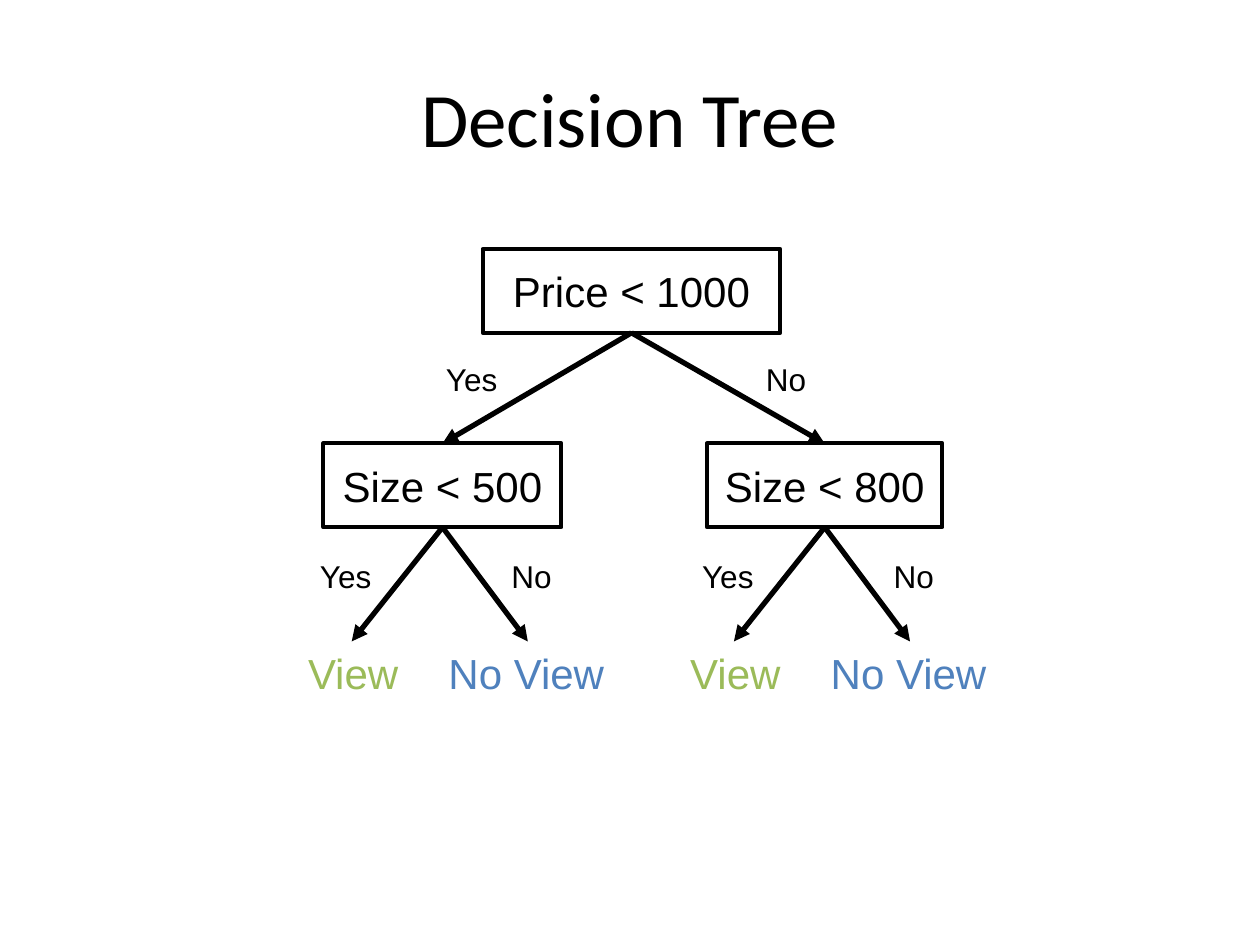
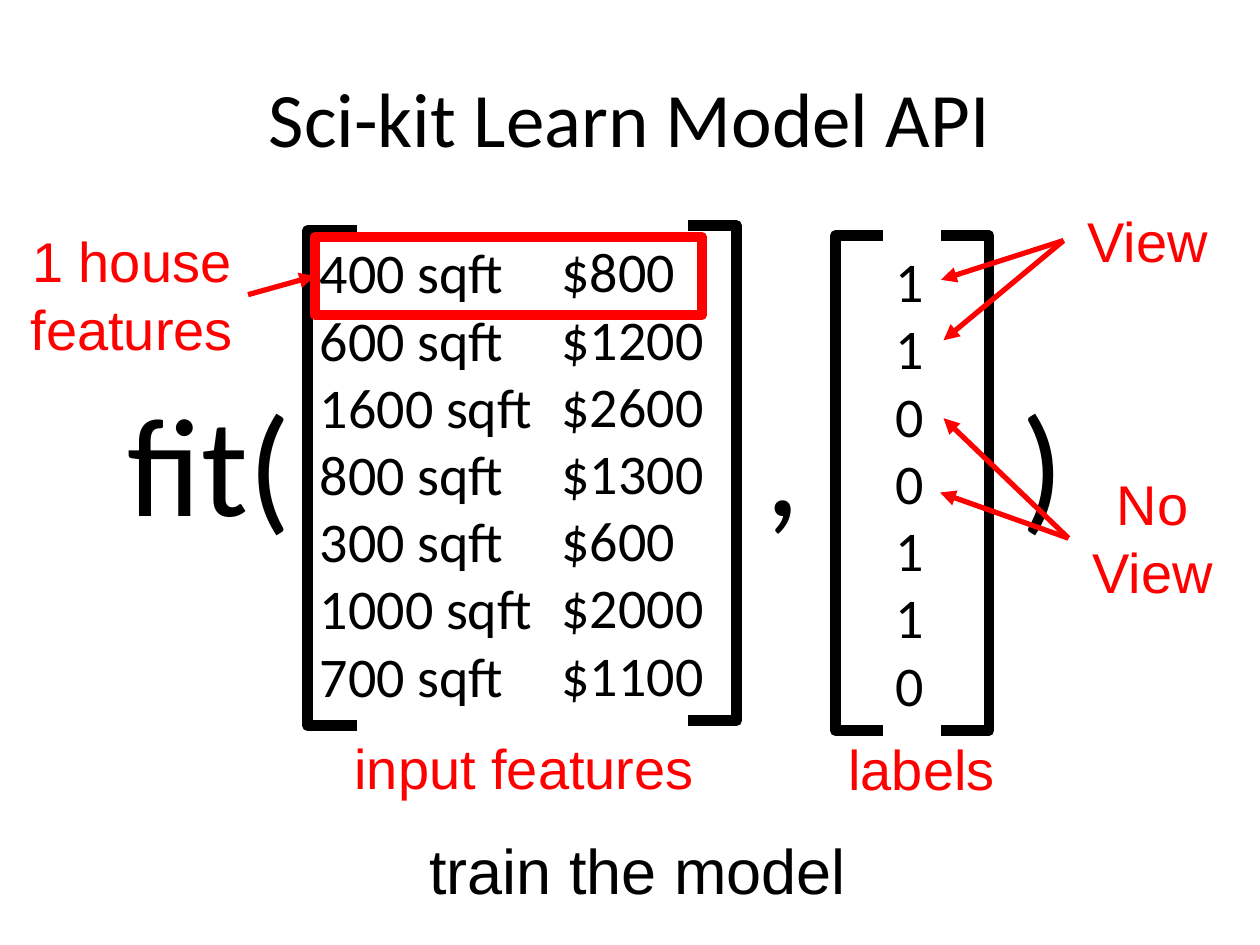
import collections
import lxml.etree
import pptx
import pptx.dml.color
import pptx.enum.shapes
import pptx.enum.text
import pptx.oxml.ns
import pptx.util

Cm = pptx.util.Cm
Pt = pptx.util.Pt
qn = pptx.oxml.ns.qn
RGB = pptx.dml.color.RGBColor.from_string
LEFT = pptx.enum.text.PP_ALIGN.LEFT
MID = pptx.enum.text.PP_ALIGN.CENTER
RECT = pptx.enum.shapes.MSO_SHAPE.RECTANGLE
LINE = pptx.enum.shapes.MSO_CONNECTOR.STRAIGHT

Theme = collections.namedtuple(
    "Theme", "ink red green blue sans head title call large big node small frame arrow thick")
look = Theme(ink="000000", red="FF0000", green="9BBB59", blue="4F81BD",
             sans="Arial", head="Calibri",
             title=44, call=80, large=36, big=32, node=24, small=18,
             frame=2.25, arrow=3, thick=6)


def put(shape, text, size, color=look.ink, font=look.sans, align=MID):
    """Fill a shape with text, one paragraph per line, and format its runs."""
    frame = shape.text_frame
    frame.word_wrap = True
    frame.text = text
    for para in frame.paragraphs:
        para.alignment = align
        for run in para.runs:
            run.font.size = Pt(size)
            run.font.name = font
            run.font.color.rgb = RGB(color)


def arrow(slide, start, end, color, source=None, target=None):
    """Draw an arrow; source and target are (shape, side) joints."""
    line = slide.shapes.add_connector(LINE, *map(Cm, start + end))
    if source:
        line.begin_connect(*source)
    if target:
        line.end_connect(*target)
    line.line.color.rgb = RGB(color)
    line.line.width = Pt(look.arrow)
    props = line.element.spPr
    lxml.etree.SubElement(props.find(qn("a:ln")), qn("a:tailEnd"), type="triangle")
    lxml.etree.SubElement(props, qn("a:effectLst"))


deck = pptx.Presentation()
deck.slide_width, deck.slide_height = Cm(25.4), Cm(19.05)

tree = deck.slides.add_slide(deck.slide_layouts[5])
model = deck.slides.add_slide(deck.slide_layouts[1])
for slide, title in ((tree, "Decision Tree"), (model, "Sci-kit Learn Model API")):
    put(slide.shapes.title, title, look.title, font=look.head)

# Decision tree: root, two tests, four leaves
tests = []
for text, x, y, w in (("Price < 1000", 9.73, 5.02, 6),
                      ("Size < 500", 6.52, 8.94, 4.8),
                      ("Size < 800", 14.25, 8.94, 4.75)):
    box = tree.shapes.add_shape(RECT, Cm(x), Cm(y), Cm(w), Cm(1.69))
    box.shadow.inherit = False
    box.fill.background()
    box.line.color.rgb = RGB(look.ink)
    box.line.width = Pt(look.frame)
    put(box, text, look.node)
    tests.append(box)

root = tests[0]
answers = [("Yes", 8.74, 7.14), ("No", 15.19, 7.14)]
for test in tests[1:]:
    mid = (test.left + test.width / 2) / Cm(1)
    arrow(tree, (12.73, 6.71), (mid, 8.94), look.ink, (root, 2), (test, 0))
    answers += [("Yes", mid - 2.72, 11.1), ("No", mid + 1.14, 11.1)]
    for leaf, tip, x, w, color in (("View", -1.83, -3.3, 3, look.green),
                                   ("No View", 1.72, -0.36, 4.1, look.blue)):
        arrow(tree, (mid, 10.63), (mid + tip, 12.93), look.ink, (test, 2))
        spot = tree.shapes.add_textbox(Cm(mid + x), Cm(12.93), Cm(w), Cm(1.28))
        put(spot, leaf, look.node, color)

for text, x, y in answers:
    spot = tree.shapes.add_textbox(Cm(x), Cm(y), Cm(2.18), Cm(1.02))
    put(spot, text, look.small, align=LEFT)

# Model call: its three parts stand around the two matrices
call = model.placeholders[1]
call.left, call.top, call.width, call.height = map(Cm, (2.31, 7.47, 5, 5))
comma, close = [model.shapes.add_textbox(Cm(x), Cm(7.47), Cm(2), Cm(5))
                for x in (15.19, 20.35)]
for part, text in ((call, "fit("), (comma, ","), (close, ")")):
    put(part, text, look.call, font=look.head, align=LEFT)
call.text_frame.auto_size = pptx.enum.text.MSO_AUTO_SIZE.NONE
props = next(call.element.iter(qn("a:p"))).get_or_add_pPr()
props.set("marL", "0")
props.set("indent", "0")
lxml.etree.SubElement(props, qn("a:buNone"))

sizes = (400, 600, 1600, 800, 300, 1000, 700)
costs = (800, 1200, 2600, 1300, 600, 2000, 1100)
marks = (1, 1, 0, 0, 1, 1, 0)
for rows, x, y, w in (([f"{size} sqft" for size in sizes], 6.2, 4.67, 4.88),
                      ([f"${cost}" for cost in costs], 11.07, 4.65, 4.67),
                      ([str(mark) for mark in marks], 17.8, 4.85, 4.67)):
    column = model.shapes.add_textbox(Cm(x), Cm(y), Cm(w), Cm(9.83))
    put(column, "\n".join(rows), look.big, font=look.head, align=LEFT)

for tip, back, top in ((7.2, 6.2, 4.65), (13.88, 14.85, 4.55),
                       (17.8, 16.84, 4.75), (18.97, 19.94, 4.75)):
    base = top + 9.98
    pen = model.shapes.build_freeform(Cm(tip), Cm(top))
    pen.add_line_segments([(Cm(x), Cm(y)) for x, y in
                           ((back, top), (back, base), (tip, base))], close=False)
    bracket = pen.convert_to_shape()
    bracket.shadow.inherit = False
    bracket.fill.background()
    bracket.line.color.rgb = RGB(look.ink)
    bracket.line.width = Pt(look.thick)

for text, x, y, w, h, size, color in (
        ("train the model", 2, 16.64, 21.72, 1.8, look.large, look.ink),
        ("input features", 6.53, 14.66, 8.08, 1.62, look.big, look.red),
        ("labels", 15.24, 14.68, 6.68, 1.62, look.big, look.red),
        ("View", 21.44, 4.04, 3.4, 1.62, look.big, look.red),
        ("No View", 21.54, 9.35, 3.4, 3, look.big, look.red),
        ("1 house features", 0.3, 4.45, 4.72, 3, look.big, look.red)):
    spot = model.shapes.add_textbox(Cm(x), Cm(y), Cm(w), Cm(h))
    put(spot, text, size, color)

house = model.shapes.add_shape(RECT, Cm(6.35), Cm(4.78), Cm(7.8), Cm(1.57))
house.shadow.inherit = False
house.fill.background()
house.line.color.rgb = RGB(look.red)
house.line.width = Pt(look.thick)
arrow(model, (5, 5.94), (6.35, 5.56), look.red, target=(house, 1))

for start, ends in (((21.44, 4.85), ((18.97, 5.64), (19.02, 6.86))),
                    ((21.54, 10.85), ((19.02, 8.43), (18.95, 9.93)))):
    for end in ends:
        arrow(model, start, end, look.red)

deck.save("out.pptx")
